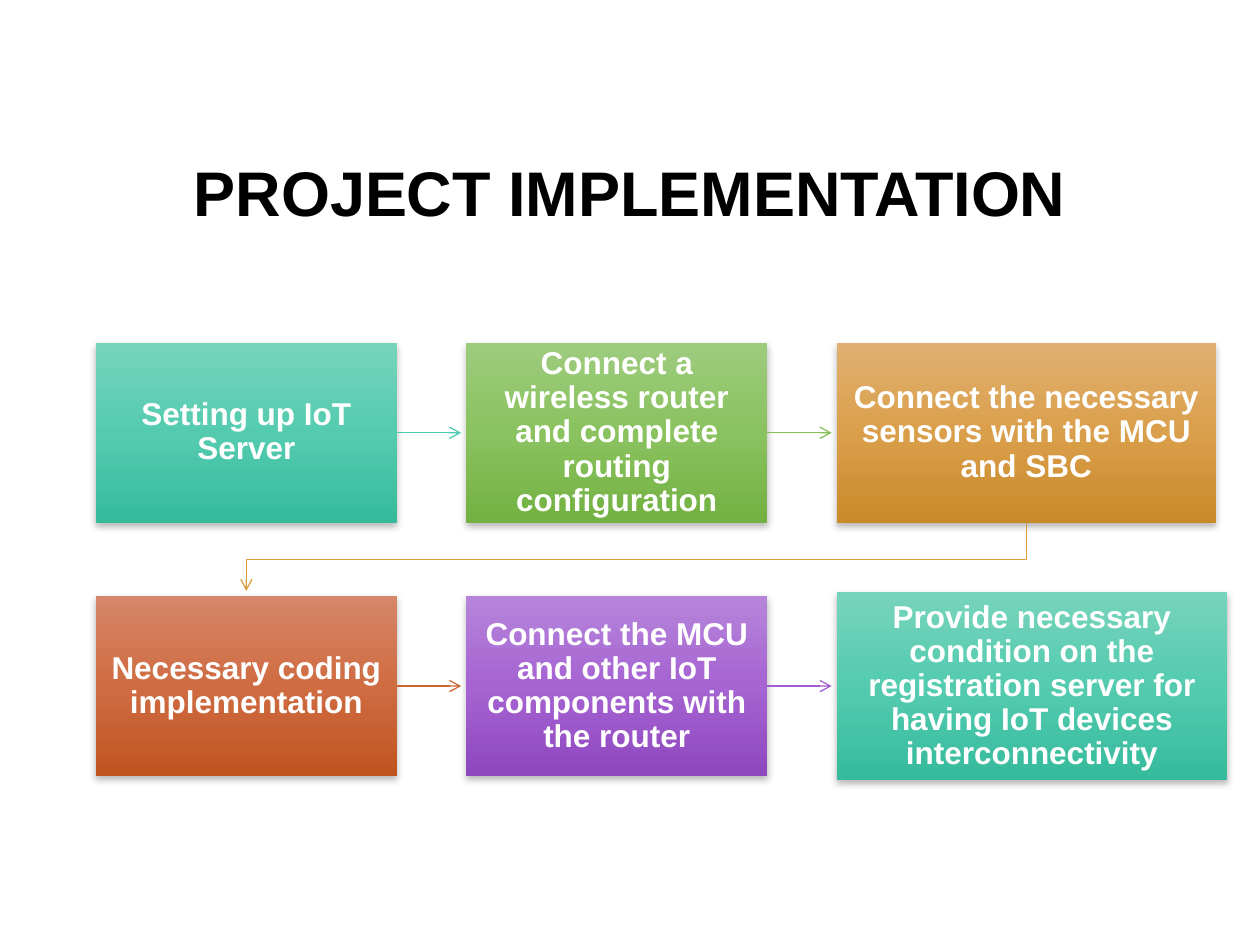
from dataclasses import dataclass

from lxml import etree
from pptx import Presentation
from pptx.dml.color import RGBColor
from pptx.enum.shapes import MSO_CONNECTOR, MSO_SHAPE
from pptx.enum.text import MSO_ANCHOR, PP_ALIGN
from pptx.oxml import parse_xml
from pptx.oxml.ns import nsdecls, qn
from pptx.util import Inches, Pt

RECTANGLE = MSO_SHAPE.RECTANGLE
STRAIGHT = MSO_CONNECTOR.STRAIGHT
CENTER = PP_ALIGN.CENTER
MIDDLE = MSO_ANCHOR.MIDDLE
RIGHT_SIDE = 3

FONT = "Arial"
COLORS = {"title": "000000", "step": "FFFFFF", "shadow": "000000"}
# Top, middle and bottom of each gradient, then the arrow colour
THEMES = {
    "teal": ("77D4BC", "54CBAF", "36BA9C", "4BCAAD"),
    "green": ("9ECC7E", "8AC25F", "73B142", "86C157"),
    "gold": ("E0B071", "DA9F4B", "C98A29", "D99C3F"),
    "rust": ("D68669", "CF6C42", "C0541F", "CE6633"),
    "purple": ("B685DA", "A664D2", "8F47BF", "A35DD1"),
}

# Grid of steps, in inches
GRID_LEFT, COLUMN_PITCH = 0.76, 2.94
FIRST_ROW_MIDDLE, ROW_PITCH = 3.435, 2.01
ARROW_GAP = 0.04
COLUMNS = 3


@dataclass
class Step:
    text: str
    theme: str
    column: int
    row: int
    width: float = 2.39
    height: float = 1.43

    @property
    def left(self) -> float:
        return GRID_LEFT + self.column * COLUMN_PITCH

    @property
    def middle(self) -> float:
        return FIRST_ROW_MIDDLE + self.row * ROW_PITCH

    @property
    def top(self) -> float:
        return self.middle - self.height / 2

    @property
    def center(self) -> float:
        return self.left + self.width / 2


STEPS = [
    Step("Setting up IoT Server", "teal", 0, 0),
    Step("Connect a wireless router and complete routing configuration", "green", 1, 0),
    Step("Connect the necessary sensors with the MCU and SBC", "gold", 2, 0, width=3.01),
    Step("Necessary coding implementation", "rust", 0, 1),
    Step("Connect the MCU and other IoT components with the router", "purple", 1, 1),
    Step("Provide necessary condition on the registration server for "
         "having IoT devices interconnectivity", "teal", 2, 1, width=3.1, height=1.49),
]


def write_text(frame, text: str, size: int, color: str) -> None:
    frame.word_wrap = True
    frame.vertical_anchor = MIDDLE
    frame.text = text
    paragraph = frame.paragraphs[0]
    paragraph.alignment = CENTER
    paragraph.line_spacing = 0.9
    font = paragraph.runs[0].font
    font.name, font.size, font.bold = FONT, Pt(size), True
    font.color.rgb = RGBColor.from_string(color)


def fill_gradient(shape, colors: tuple) -> None:
    shape.fill.gradient()
    shape.fill.gradient_angle = 270
    stops = shape.fill._fill._gradFill.find(qn("a:gsLst"))
    for stop in list(stops):
        stops.remove(stop)
    for position, color in zip((0, 50000, 100000), colors):
        stops.append(parse_xml(
            f'<a:gs {nsdecls("a")} pos="{position}"><a:srgbClr val="{color}"/></a:gs>'))


def add_shadow(shape) -> None:
    shape.shadow.inherit = False
    effects = shape._element.spPr.find(qn("a:effectLst"))
    effects.append(parse_xml(
        f'<a:outerShdw {nsdecls("a")} blurRad="{Pt(4)}" dist="{Pt(2)}" dir="5400000" '
        f'rotWithShape="0"><a:srgbClr val="{COLORS["shadow"]}">'
        '<a:alpha val="28000"/></a:srgbClr></a:outerShdw>'))


def draw_step(slide, step: Step):
    box = slide.shapes.add_shape(RECTANGLE, Inches(step.left), Inches(step.top),
                                 Inches(step.width), Inches(step.height))
    fill_gradient(box, THEMES[step.theme][:3])
    box.line.fill.background()
    add_shadow(box)
    frame = box.text_frame
    frame.margin_left = frame.margin_right = Inches(0.12)
    frame.margin_top = frame.margin_bottom = Inches(0.05)
    write_text(frame, step.text, 18, COLORS["step"])
    return box


def style_arrow(arrow, theme: str) -> None:
    arrow.line.color.rgb = RGBColor.from_string(THEMES[theme][3])
    arrow.line.width = Pt(0.75)
    line = arrow.line._get_or_add_ln()
    etree.SubElement(line, qn("a:tailEnd"), type="arrow")
    etree.SubElement(arrow._element.spPr, qn("a:effectLst"))


def draw_straight_arrow(slide, box, step: Step, following: Step) -> None:
    y = Inches(step.middle)
    arrow = slide.shapes.add_connector(STRAIGHT, Inches(step.left + step.width), y,
                                       Inches(following.left - ARROW_GAP), y)
    arrow.begin_connect(box, RIGHT_SIDE)
    style_arrow(arrow, step.theme)


def draw_row_change(slide, step: Step, following: Step) -> None:
    bottom = step.top + step.height
    turn = (bottom + following.top) / 2
    outline = slide.shapes.build_freeform(Inches(step.center), Inches(bottom))
    outline.add_line_segments(
        [(Inches(step.center), Inches(turn)),
         (Inches(following.center), Inches(turn)),
         (Inches(following.center), Inches(following.top - ARROW_GAP))], close=False)
    arrow = outline.convert_to_shape()
    arrow.fill.background()
    style_arrow(arrow, step.theme)


def main() -> None:
    deck = Presentation()
    deck.slide_width, deck.slide_height = Inches(10), Inches(7.5)
    slide = deck.slides.add_slide(deck.slide_layouts[6])

    # Title
    title = slide.shapes.add_textbox(Inches(0.75), Inches(0.68), Inches(8.5), Inches(1.75))
    write_text(title.text_frame, "PROJECT IMPLEMENTATION", 36, COLORS["title"])

    # Steps, then the arrows between them
    boxes = [draw_step(slide, step) for step in STEPS]
    for box, step, following in zip(boxes, STEPS, STEPS[1:]):
        if step.column == COLUMNS - 1:
            draw_row_change(slide, step, following)
        else:
            draw_straight_arrow(slide, box, step, following)

    deck.save("out.pptx")


if __name__ == "__main__":
    main()
